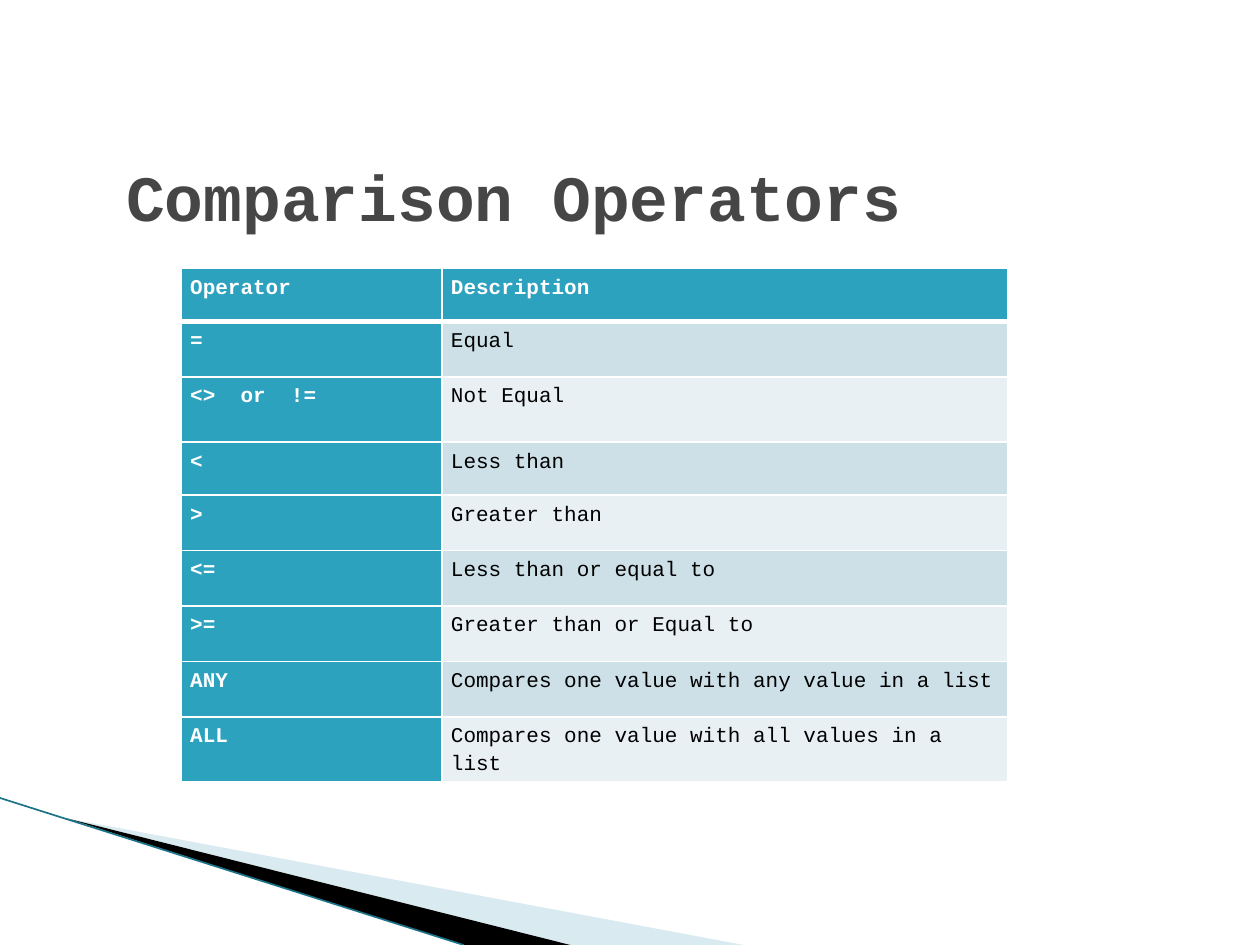
from lxml import etree
from pptx import Presentation
from pptx import util as u
from pptx.dml.color import RGBColor
from pptx.enum import shapes, text
from pptx.oxml import ns

FONT = "Courier New"
COLOURS = {
    "title": "464646",
    "header": "2DA2BF",
    "band_dark": "CDE0E8",
    "band_light": "E8F0F4",
    "wedge": "A0CBDC",
    "edge": "1A7387",
    "white": "FFFFFF",
    "black": "000000",
}
ROWS = [
    ("Operator", "Description"),
    ("=", "Equal"),
    ("<>  or  !=", "Not Equal"),
    ("<", "Less than"),
    (">", "Greater than"),
    ("<=", "Less than or equal to"),
    (">=", "Greater than or Equal to"),
    ("ANY", "Compares one value with any value in a list"),
    ("ALL", "Compares one value with all values in a list"),
]
COLUMN_WIDTHS = [149, 323.3]
ROW_HEIGHTS = [30.2, 31.7, 37.4, 30.2] + [31.7] * 5


def colour(name):
    """Return the named colour."""
    return RGBColor.from_string(COLOURS[name])


def write_text(frame, content, size, color, bold=False, line_spacing=None, space_after=None):
    """Write one formatted, left-aligned paragraph into a text frame."""
    paragraph = frame.paragraphs[0]
    paragraph.alignment = text.PP_ALIGN.LEFT
    paragraph.line_spacing = line_spacing
    if space_after is not None:
        paragraph.space_after = u.Pt(space_after)
    run = paragraph.add_run()
    run.text = content
    run.font.name = FONT
    run.font.size = u.Pt(size)
    run.font.bold = bold
    run.font.color.rgb = colour(color)


def add_border(cell, side, width):
    """Add a white border to one side of a cell."""
    properties = cell._tc.get_or_add_tcPr()
    line = etree.SubElement(properties, ns.qn(f"a:ln{side}"), w=str(u.Pt(width)))
    fill = etree.SubElement(line, ns.qn("a:solidFill"))
    etree.SubElement(fill, ns.qn("a:srgbClr"), val=COLOURS["white"])


def add_wedge(slide, points, color, alpha=None):
    """Draw a filled outline through the points, with optional opacity in percent."""
    corners = [(u.Pt(x), u.Pt(y)) for x, y in points]
    builder = slide.shapes.build_freeform(*corners[0], scale=1.0)
    builder.add_line_segments(corners[1:], close=True)
    shape = builder.convert_to_shape()
    shape.shadow.inherit = False
    shape.line.fill.background()
    shape.fill.solid()
    shape.fill.fore_color.rgb = colour(color)
    if alpha is not None:
        swatch = shape._element.spPr.find(f".//{ns.qn('a:srgbClr')}")
        etree.SubElement(swatch, ns.qn("a:alpha"), val=str(alpha * 1000))


def add_corner(slide, left, top, width, height):
    """Draw the swoosh in the lower left corner."""
    bottom = top + height
    tip_left, tip_top = left + 38.5, top + 11.7
    black_left, black_right = left + 265, left + 326
    add_wedge(slide, [(tip_left, tip_top), (left + width, bottom), (black_right, bottom)], "wedge", alpha=40)
    add_wedge(slide, [(tip_left, tip_top), (black_right, bottom), (black_left, bottom)], "black")
    edge = slide.shapes.add_connector(
        shapes.MSO_CONNECTOR.STRAIGHT, u.Pt(left), u.Pt(top), u.Pt(black_left), u.Pt(bottom)
    )
    edge.line.color.rgb = colour("edge")
    edge.line.width = u.Pt(0.95)
    etree.SubElement(edge._element.spPr, ns.qn("a:effectLst"))


def add_title(slide, left, top, width, height):
    """Place and format the title placeholder."""
    title = slide.shapes.title
    title.left, title.top, title.width, title.height = map(u.Pt, (left, top, width, height))
    frame = title.text_frame
    frame.word_wrap = True
    frame.auto_size = text.MSO_AUTO_SIZE.NONE
    frame.vertical_anchor = text.MSO_ANCHOR.MIDDLE
    write_text(frame, "Comparison Operators", 36.9, "title", bold=True)


def add_operator_table(slide, left, top):
    """Draw the table of operators with its top left corner at the given place."""
    box = map(u.Pt, (left, top, sum(COLUMN_WIDTHS), sum(ROW_HEIGHTS)))
    table = slide.shapes.add_table(len(ROWS), len(COLUMN_WIDTHS), *box).table
    for column, width in zip(table.columns, COLUMN_WIDTHS):
        column.width = u.Pt(width)
    for row_index, (row, height) in enumerate(zip(ROWS, ROW_HEIGHTS)):
        table.rows[row_index].height = u.Pt(height)
        for column_index, content in enumerate(row):
            cell = table.cell(row_index, column_index)
            heading = row_index == 0 or column_index == 0
            band = "band_dark" if row_index % 2 else "band_light"
            cell.margin_left = cell.margin_right = u.Pt(5)
            cell.margin_top = cell.margin_bottom = u.Pt(2.9)
            for side in "LRTB":
                under_header = (row_index, side) in ((0, "B"), (1, "T"))
                add_border(cell, side, 3 if under_header else 1)
            cell.fill.solid()
            cell.fill.fore_color.rgb = colour("header" if heading else band)
            write_text(
                cell.text_frame, content, 12, "white" if heading else "black",
                bold=heading, line_spacing=1.15, space_after=10,
            )


def main():
    """Build and save the slide."""
    presentation = Presentation()
    presentation.slide_width, presentation.slide_height = u.Pt(720), u.Pt(540)
    slide = presentation.slides.add_slide(presentation.slide_layouts[5])
    add_corner(slide, 0, 456, 425, 84)
    add_title(slide, 64.8, 84.2, 594, 54.7)
    add_operator_table(slide, 103.7, 153.4)
    presentation.save("out.pptx")


if __name__ == "__main__":
    main()
